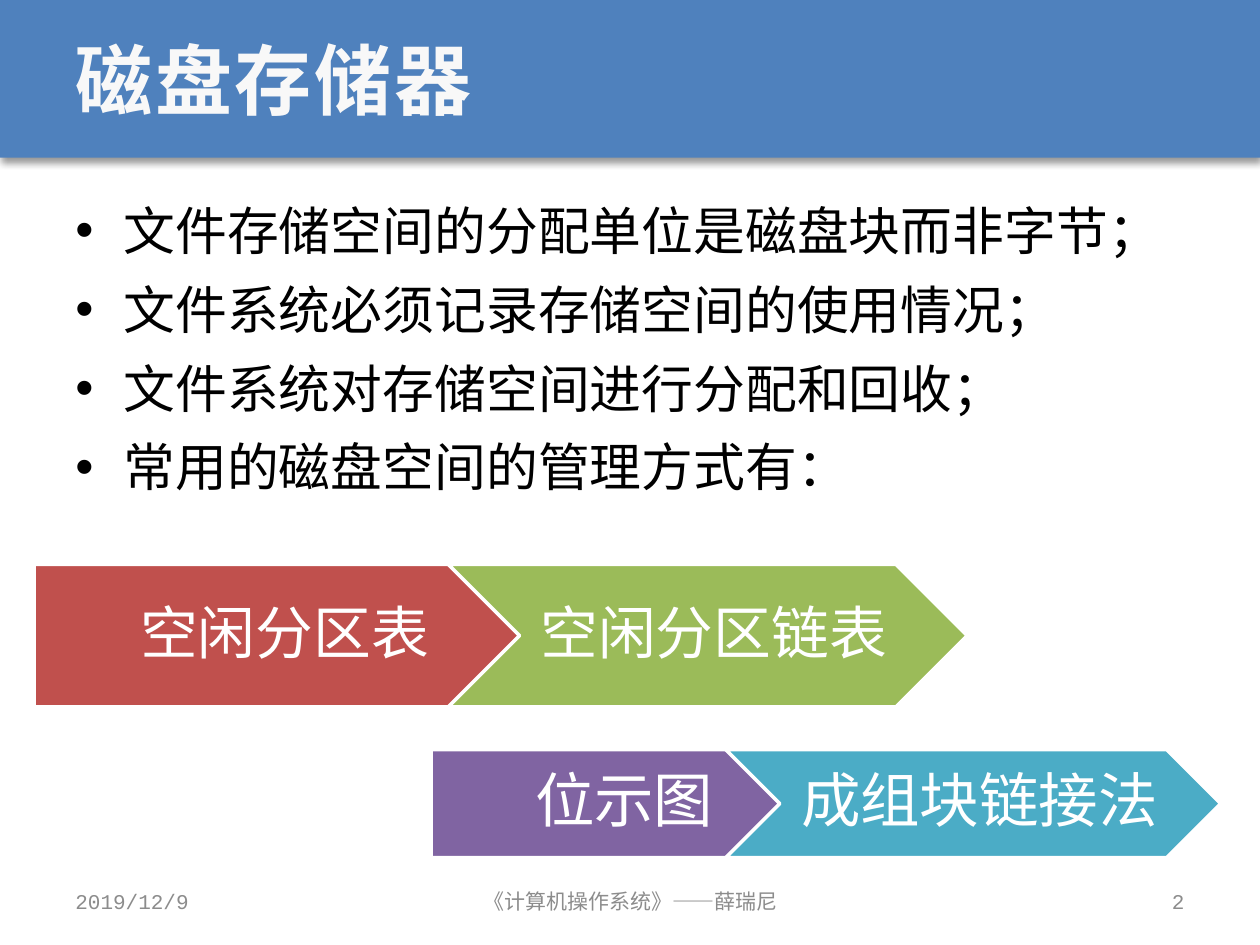
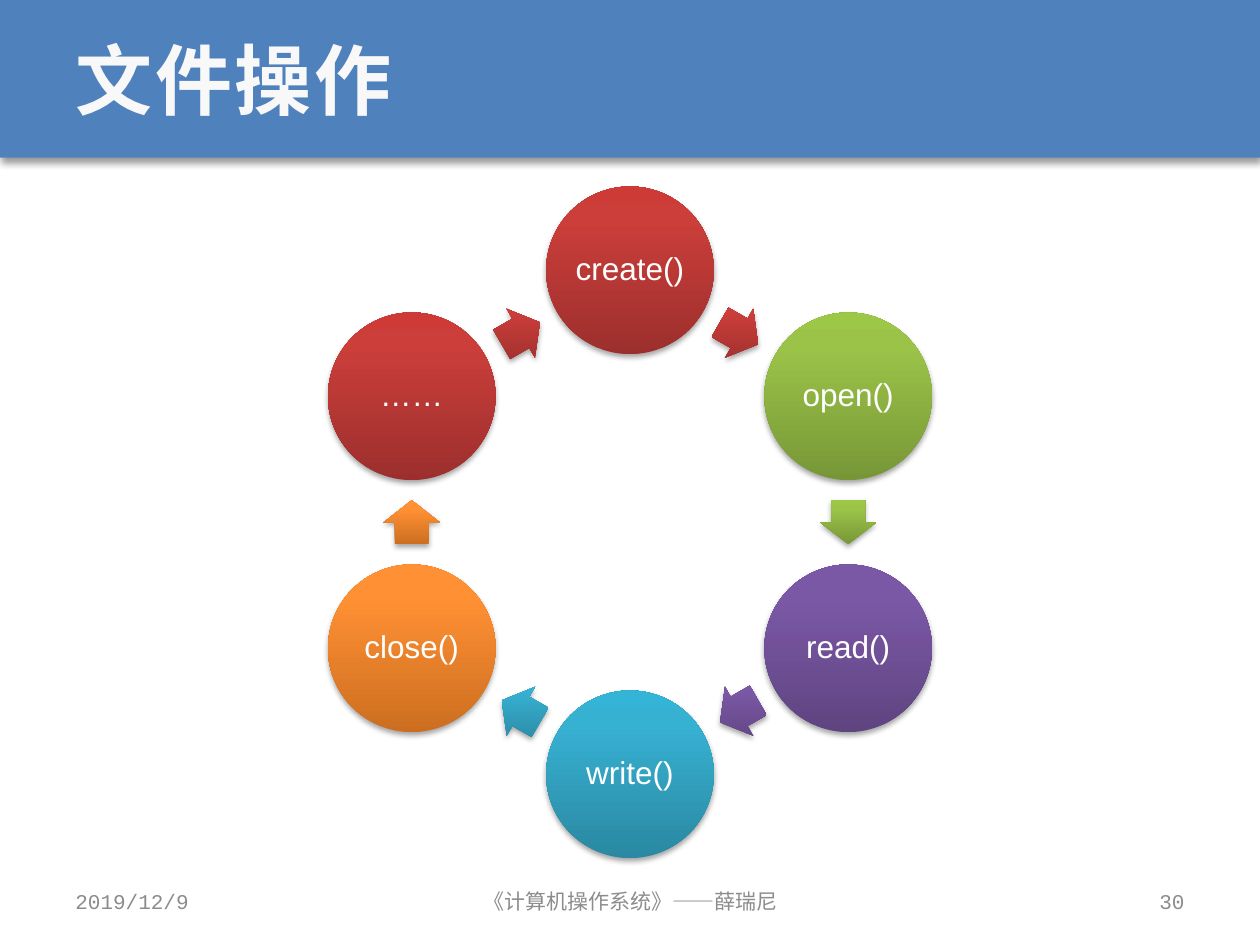
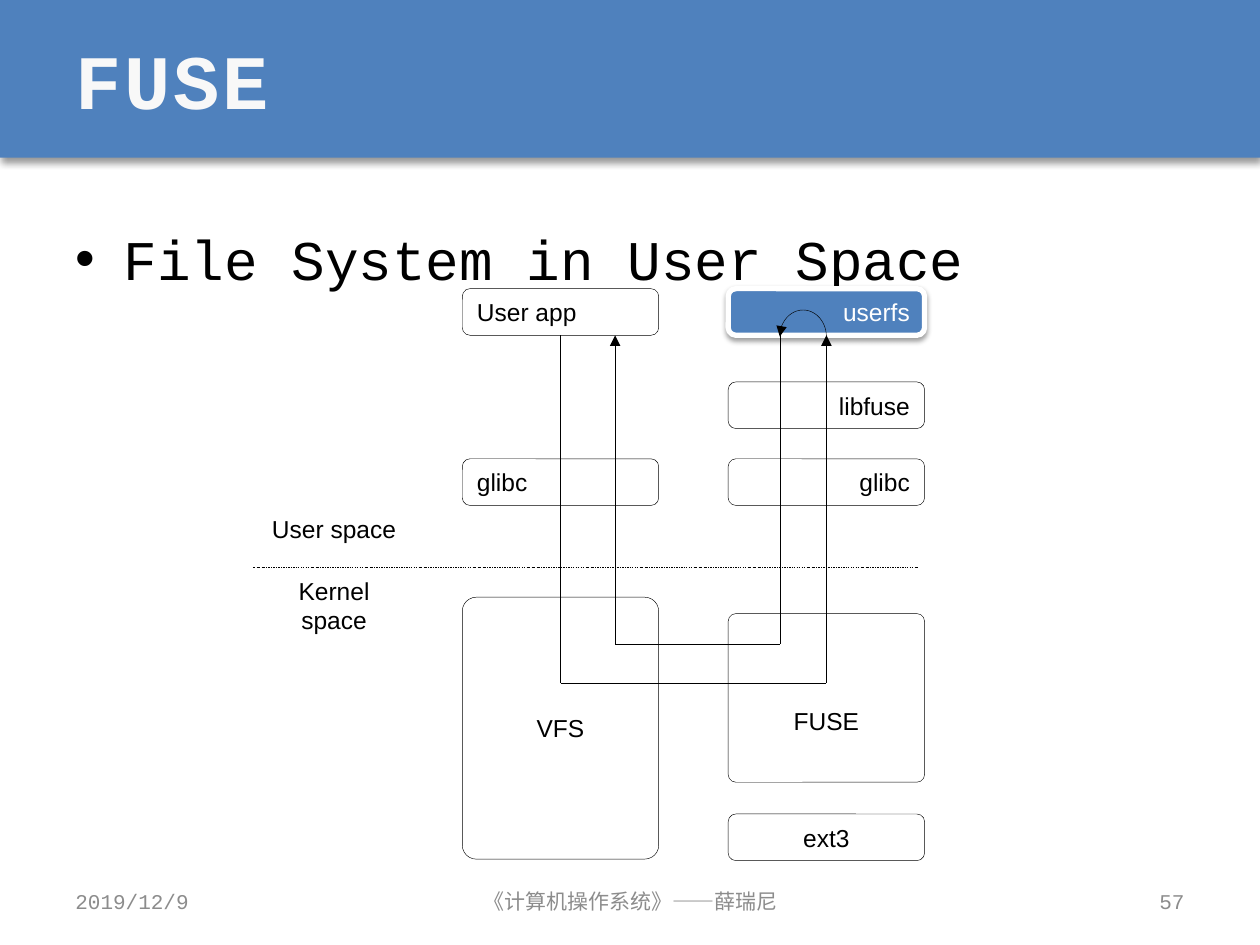
import copy
import math

import pptx
import pptx.dml.color
import pptx.enum.dml
import pptx.enum.shapes
import pptx.enum.text
import pptx.oxml
import pptx.oxml.ns
import pptx.util
from lxml import etree

Cm = pptx.util.Cm
Pt = pptx.util.Pt
qn = pptx.oxml.ns.qn
PRESET = pptx.enum.shapes.MSO_SHAPE
ALIGN = pptx.enum.text.PP_ALIGN
ANCHOR = pptx.enum.text.MSO_ANCHOR

BLUE, RED, GREEN, PURPLE, TEAL = "4F81BD", "C0504D", "9BBB59", "8064A2", "4BACC6"
BLACK, WHITE, TITLE_WHITE, GREY = "000000", "FFFFFF", "F8F8F8", "8C8C8C"
RED_SHADES = ("9C2F2D", "CB3E3A", "CE3B37")
GREEN_SHADES = ("779737", "9BC348", "9DC746")
PURPLE_SHADES = ("5F4480", "7B58A6", "7C57A8")
TEAL_SHADES = ("2A88A2", "37B1D2", "34B4D6")
ORANGE_SHADES = ("CC6E20", "FF9034", "FF9136")
MONO, SANS = "Courier New", "Arial"
HAIRLINE = 0.25


def rgb(hex_color):
    """Turn a hex string into a colour."""
    return pptx.dml.color.RGBColor.from_string(hex_color)


def box(left, top, width, height):
    """Convert a frame in centimetres to lengths."""
    return Cm(left), Cm(top), Cm(width), Cm(height)


def format_paragraph(paragraph, size, color, font=SANS, align=ALIGN.LEFT, bold=False):
    """Align a paragraph and style its runs."""
    paragraph.alignment = align
    for run in paragraph.runs:
        run.font.size = Pt(size)
        run.font.name = font
        run.font.bold = bold
        run.font.color.rgb = rgb(color)


def write(shape, text, size, color, font=SANS, align=ALIGN.CENTER, insets=None, wrap=True):
    """Put one vertically centred line of text in a shape."""
    frame = shape.text_frame
    frame.text = text
    frame.word_wrap = wrap
    frame.vertical_anchor = ANCHOR.MIDDLE
    if insets:
        (frame.margin_left, frame.margin_top,
         frame.margin_right, frame.margin_bottom) = map(Cm, insets)
    format_paragraph(frame.paragraphs[0], size, color, font, align)


def add_shadow(shape, alpha, blur, distance):
    """Give a shape a soft shadow straight below it."""
    effects = shape.element.spPr.find(qn("a:effectLst"))
    shadow = etree.SubElement(
        effects, qn("a:outerShdw"), blurRad=str(Pt(blur)), dist=str(Pt(distance)),
        dir="5400000", algn="ctr", rotWithShape="0")
    tint = etree.SubElement(shadow, qn("a:srgbClr"), val=BLACK)
    etree.SubElement(tint, qn("a:alpha"), val=str(alpha * 1000))


def add_preset(slide, preset, frame, fill=None, line=None, line_width=HAIRLINE):
    """Draw a preset shape with a plain fill and outline."""
    shape = slide.shapes.add_shape(preset, *box(*frame))
    shape.shadow.inherit = False
    if fill:
        shape.fill.solid()
        shape.fill.fore_color.rgb = rgb(fill)
    else:
        shape.fill.background()
    if line:
        shape.line.color.rgb = rgb(line)
        shape.line.width = Pt(line_width)
    else:
        shape.line.fill.background()
    return shape


def add_glossy(slide, preset, center_x, center_y, width, height, shades):
    """Draw a shaded shape around a centre point."""
    frame = (center_x - width / 2, center_y - height / 2, width, height)
    shape = add_preset(slide, preset, frame)
    shape.fill.gradient()
    shape.fill.gradient_angle = 90
    properties = shape.element.spPr
    properties.find(qn("a:gradFill")).set("rotWithShape", "0")
    stops = properties.find(".//" + qn("a:gsLst"))
    stops.append(copy.deepcopy(stops[-1]))
    for stop, position, shade in zip(shape.fill.gradient_stops, (0, 0.8, 1), shades):
        stop.position = position
        stop.color.rgb = rgb(shade)
    add_shadow(shape, 35, 3.1, 1.8)
    return shape


def add_label(slide, frame, text, size, color, font=SANS, align=ALIGN.CENTER, wrap=True):
    """Place a text box with one line."""
    label = slide.shapes.add_textbox(*box(*frame))
    write(label, text, size, color, font, align, wrap=wrap)


def add_bullets(slide, top, items, size, line_spacing):
    """Place the bulleted body text."""
    body = slide.shapes.add_textbox(*box(1.27, top, 22.86, 13.54))
    frame = body.text_frame
    frame.word_wrap = True
    frame.text = "\n".join(items)
    for index, paragraph in enumerate(frame.paragraphs):
        properties = paragraph._p.get_or_add_pPr()
        properties.set("marL", str(Cm(0.97)))
        properties.set("indent", str(-Cm(0.97)))
        etree.SubElement(properties, qn("a:buFont"), typeface=SANS)
        etree.SubElement(properties, qn("a:buChar"), char="•")
        paragraph.line_spacing = line_spacing
        paragraph.space_before = Pt(6 if index else 0)
        format_paragraph(paragraph, size, BLACK, MONO)


def add_arrowhead(shape, end):
    """Put a triangle on one end of a line."""
    etree.SubElement(shape.line._get_or_add_ln(), qn(end), type="triangle")


def add_line(slide, start, finish):
    """Draw a thin straight line."""
    line = slide.shapes.add_connector(
        pptx.enum.shapes.MSO_CONNECTOR.STRAIGHT, *map(Cm, (*start, *finish)))
    line.line.color.rgb = rgb(BLACK)
    line.line.width = Pt(HAIRLINE)
    etree.SubElement(line.element.spPr, qn("a:effectLst"))
    return line


def add_route(slide, points):
    """Draw a path of straight legs with an arrowhead on the last."""
    legs = [add_line(slide, *leg) for leg in zip(points, points[1:])]
    add_arrowhead(legs[-1], "a:tailEnd")


def add_page(deck, title, number):
    """Start a slide with its band, title and footer."""
    slide = deck.slides.add_slide(deck.slide_layouts[5])
    band = add_preset(slide, PRESET.RECTANGLE, (0, 0, 25.4, 3.18), BLUE)
    add_shadow(band, 40, 4, 3)
    slide.shapes.element.insert(2, band.element)

    heading = slide.shapes.title
    heading.left, heading.top, heading.width, heading.height = box(1.27, 0, 22.86, 3.18)
    write(heading, title, 44, TITLE_WHITE, MONO, ALIGN.LEFT)
    for run in heading.text_frame.paragraphs[0].runs:
        run.font.bold = True
        run.font._element.set("spc", "150")

    footers = (
        (1.27, 5.92, "2019/12/9", ALIGN.LEFT),
        (8.69, 8.05, "《计算机操作系统》——薛瑞尼", ALIGN.CENTER),
        (18.21, 5.92, str(number), ALIGN.RIGHT),
    )
    for left, width, text, align in footers:
        add_label(slide, (left, 17.65, width, 1.02), text, 12, GREY, MONO, align)
    return slide


def add_step(slide, preset, frame, fill, text, size, left_inset):
    """Draw one arrow-shaped step of a process."""
    step = add_preset(slide, preset, frame, fill, WHITE, 2)
    write(step, text, size, WHITE, insets=(left_inset, 0.25, 0.13, 0.25))
    step.text_frame.paragraphs[0].line_spacing = 0.9


def add_cycle(slide, operations):
    """Arrange operations clockwise on a ring with arrows between them."""
    center_x, center_y, radius, diameter = 12.7, 10.53, 5.08, 3.38
    turn = 360 / len(operations)
    arrow_radius = radius * math.cos(math.radians(turn / 2))

    def on_ring(degrees, distance):
        """Find a point on the ring, counted clockwise from the top."""
        angle = math.radians(degrees)
        return center_x + distance * math.sin(angle), center_y - distance * math.cos(angle)

    for index, (name, shades) in enumerate(operations):
        degrees = index * turn
        disc = add_glossy(slide, PRESET.OVAL, *on_ring(degrees, radius),
                          diameter, diameter, shades)
        write(disc, name, 18, WHITE, insets=(0.08,) * 4)
        disc.text_frame.paragraphs[0].line_spacing = 0.9
        arrow = add_glossy(slide, PRESET.RIGHT_ARROW,
                           *on_ring(degrees + turn / 2, arrow_radius), 0.89, 1.14, shades)
        arrow.adjustments[0] = 0.6
        arrow.adjustments[1] = 0.5
        arrow.rotation = degrees + turn / 2


def add_component(slide, left, top, text, align, height=0.94, corner=0.167, top_inset=0):
    """Draw an outlined software component."""
    component = add_preset(slide, PRESET.ROUNDED_RECTANGLE, (left, top, 3.96, height), line=BLACK)
    component.adjustments[0] = corner
    write(component, text, 14, BLACK, align=align, insets=(0.25, top_inset, 0.25, 0))
    return component


def build_storage(deck):
    """Build the disk storage slide."""
    slide = add_page(deck, "磁盘存储器", 2)
    add_bullets(slide, 3.76, (
        "文件存储空间的分配单位是磁盘块而非字节；",
        "文件系统必须记录存储空间的使用情况；",
        "文件系统对存储空间进行分配和回收；",
        "常用的磁盘空间的管理方式有：",
    ), 29.6, Pt(39))
    steps = (
        (PRESET.PENTAGON, (0.69, 11.38, 10.46, 2.87), RED, "空闲分区表", 33, 0.48),
        (PRESET.CHEVRON, (9.04, 11.38, 10.46, 2.87), GREEN, "空闲分区链表", 33, 0.36),
        (PRESET.PENTAGON, (8.69, 15.11, 7.95, 2.18), PURPLE, "位示图", 34, 0.51),
        (PRESET.CHEVRON, (14.63, 15.11, 9.98, 2.18), TEAL, "成组块链接法", 34, 0.38),
    )
    for step in steps:
        add_step(slide, *step)


def build_operations(deck):
    """Build the file operations slide."""
    slide = add_page(deck, "文件操作", 30)
    add_cycle(slide, (
        ("create()", RED_SHADES),
        ("open()", GREEN_SHADES),
        ("read()", PURPLE_SHADES),
        ("write()", TEAL_SHADES),
        ("close()", ORANGE_SHADES),
        ("……", RED_SHADES),
    ))


def build_fuse(deck):
    """Build the FUSE architecture slide."""
    slide = add_page(deck, "FUSE", 57)
    add_bullets(slide, 3.99, ("File System in User Space",), 32, 1.3)

    app_side, fuse_side = 9.32, 14.68
    add_component(slide, app_side, 5.82, "User app", ALIGN.LEFT)
    add_component(slide, app_side, 9.25, "glibc", ALIGN.LEFT)
    userfs = add_component(slide, fuse_side, 5.82, "userfs", ALIGN.RIGHT)
    userfs.fill.solid()
    userfs.fill.fore_color.rgb = rgb(BLUE)
    userfs.line.color.rgb = rgb(WHITE)
    userfs.line.width = Pt(3)
    add_shadow(userfs, 38, 3.1, 1.6)
    format_paragraph(userfs.text_frame.paragraphs[0], 14, WHITE, align=ALIGN.RIGHT)
    add_component(slide, fuse_side, 7.7, "libfuse", ALIGN.RIGHT)
    add_component(slide, fuse_side, 9.25, "glibc", ALIGN.RIGHT)
    add_component(slide, app_side, 12.04, "VFS", ALIGN.CENTER, 5.28, 0.071)
    add_component(slide, fuse_side, 12.37, "FUSE", ALIGN.CENTER, 3.4, 0.046, 0.94)
    add_component(slide, fuse_side, 16.41, "ext3", ALIGN.CENTER)

    space_border = add_line(slide, (5.11, 11.43), (18.52, 11.43))
    space_border.line.dash_style = pptx.enum.dml.MSO_LINE.DASH_DOT

    app_bottom = 6.76
    add_route(slide, ((11.3, app_bottom), (11.3, 13.77), (16.66, 13.77), (16.66, app_bottom)))
    add_route(slide, ((15.72, app_bottom), (15.72, 12.98), (12.4, 12.98), (12.4, app_bottom)))
    turnaround = add_preset(slide, PRESET.ARC, (15.72, 6.25, 0.94, 1.07), line=BLACK)
    turnaround.adjustments[0] = 108
    turnaround.adjustments[1] = 0
    add_arrowhead(turnaround, "a:headEnd")

    for top, text in ((10.19, "User space"), (11.73, "Kernel space")):
        add_label(slide, (5.11, top, 3.25, 0.94), text, 14, BLACK, wrap=False)


def main():
    """Build and save the deck."""
    deck = pptx.Presentation()
    deck.slide_width, deck.slide_height = Cm(25.4), Cm(19.05)
    build_storage(deck)
    build_operations(deck)
    build_fuse(deck)
    deck.save("out.pptx")


if __name__ == "__main__":
    main()
